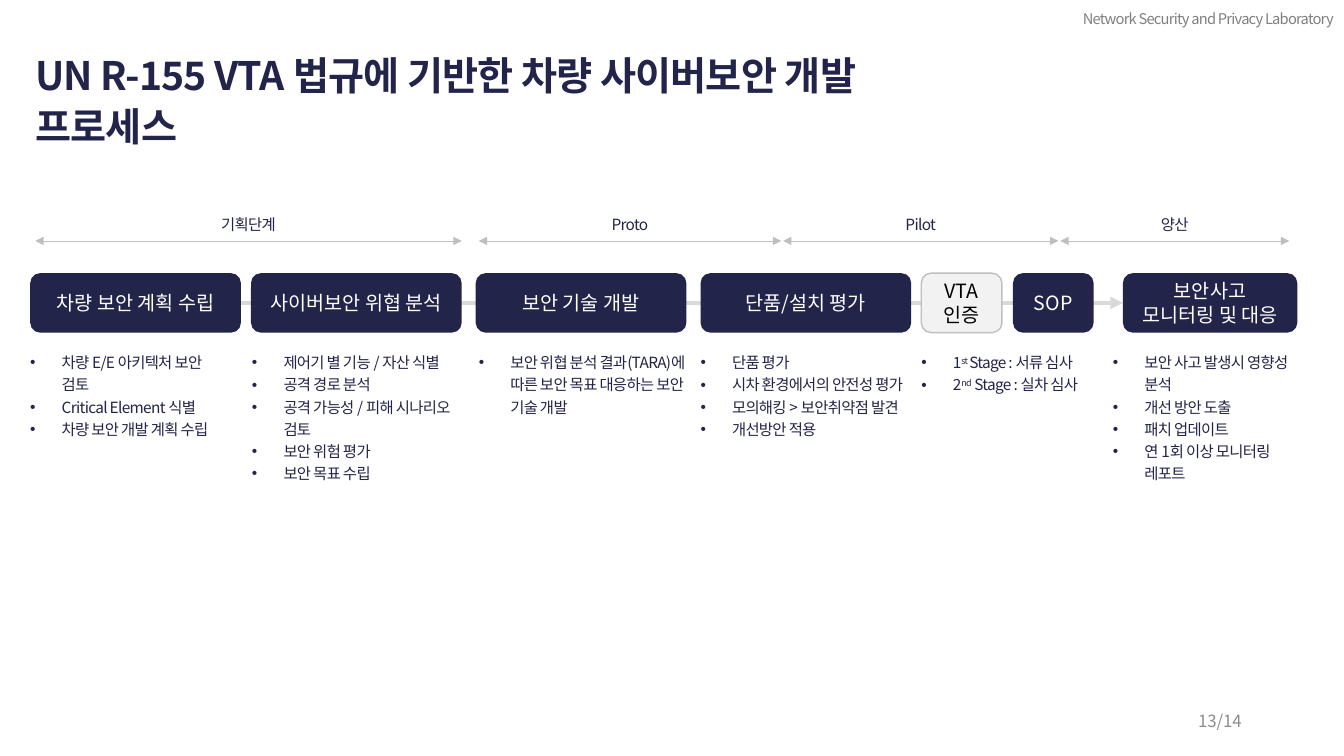
"""Build the vehicle cybersecurity development process slide."""
from dataclasses import dataclass

from lxml.etree import SubElement
from pptx import Presentation
from pptx.dml.color import RGBColor
from pptx.enum.shapes import MSO_CONNECTOR, MSO_SHAPE
from pptx.enum.text import MSO_ANCHOR, MSO_AUTO_SIZE, PP_ALIGN
from pptx.oxml.ns import qn
from pptx.util import Pt


@dataclass(frozen=True)
class Theme:
    """Colours, type sizes and font of the slide."""
    font: str = "Noto Sans CJK KR"
    navy: str = "232449"
    white: str = "FFFFFF"
    black: str = "000000"
    pale: str = "F2F2F2"
    rule: str = "BFBFBF"
    track: str = "D9D9D9"
    header: str = "7F7F7F"
    footer: str = "8C8C8C"
    title_size: float = 28
    step_size: float = 14
    number_size: float = 12
    body_size: float = 11
    header_size: float = 10.5


class Painter:
    """Draw styled elements on the current slide."""

    def __init__(self, page, theme):
        """Keep the slide and its theme."""
        self.page = page
        self.theme = theme

    def set_text(self, frame, lines, size, color, align=PP_ALIGN.LEFT, spacing=None,
                 tracking=None, bold=False, bullet=False, anchor=MSO_ANCHOR.TOP, margin=None):
        """Fill a text frame; a line is a string or a tuple of (text, baseline) pairs."""
        settings = {"word_wrap": True, "auto_size": MSO_AUTO_SIZE.NONE, "vertical_anchor": anchor}
        if margin is not None:
            settings.update({f"margin_{side}": Pt(margin)
                             for side in ("left", "top", "right", "bottom")})
        for name, value in settings.items():
            setattr(frame, name, value)
        for index, line in enumerate(lines):
            para = frame.paragraphs[0] if index == 0 else frame.add_paragraph()
            para.alignment = align
            para.line_spacing = spacing
            if bullet:
                self.add_bullet(para)
            for text, baseline in ((line, 0),) if isinstance(line, str) else line:
                span = para.add_run()
                span.text = text
                span.font.color.rgb = RGBColor.from_string(color)
                style = {"name": self.theme.font, "size": Pt(size), "bold": bold}
                for name, value in style.items():
                    setattr(span.font, name, value)
                properties = span._r.get_or_add_rPr()
                SubElement(properties, qn("a:ea"), typeface=self.theme.font)
                if tracking:
                    properties.set("spc", str(int(tracking * 100)))
                if baseline:
                    properties.set("baseline", str(baseline * 1000))

    def add_bullet(self, para):
        """Give a paragraph a hanging round bullet."""
        properties = para._p.get_or_add_pPr()
        indent = Pt(22.5)
        properties.set("marL", str(indent))
        properties.set("indent", str(-indent))
        SubElement(properties, qn("a:buFont"), typeface="Arial")
        SubElement(properties, qn("a:buChar"), char="•")

    def title(self, text, left, top, width, height):
        """Move, fill and format the title placeholder."""
        shape = self.page.shapes.title
        place = {"left": left, "top": top, "width": width, "height": height}
        for name, value in place.items():
            setattr(shape, name, Pt(value))
        self.set_text(shape.text_frame, [text], self.theme.title_size, self.theme.navy,
                      spacing=1.1, tracking=-0.5, bold=True, margin=0)

    def text(self, lines, left, top, width, height, size, color, **style):
        """Add a text box."""
        box = self.page.shapes.add_textbox(Pt(left), Pt(top), Pt(width), Pt(height))
        self.set_text(box.text_frame, lines, size, color, **style)

    def body(self, lines, left, top, width, height, **style):
        """Add a small navy text box without margins."""
        self.text(lines, left, top, width, height, self.theme.body_size, self.theme.navy,
                  spacing=1.2, tracking=-0.5, margin=0, **style)

    def step(self, lines, left, top, width, height, certified=False):
        """Add a rounded process box."""
        theme = self.theme
        box = self.page.shapes.add_shape(MSO_SHAPE.ROUNDED_RECTANGLE,
                                         Pt(left), Pt(top), Pt(width), Pt(height))
        box.shadow.inherit = False
        box.fill.solid()
        box.fill.fore_color.rgb = RGBColor.from_string(theme.pale if certified else theme.navy)
        if certified:
            box.line.color.rgb = RGBColor.from_string(theme.rule)
            box.line.width = Pt(1)
        else:
            box.line.fill.background()
        self.set_text(box.text_frame, lines, theme.step_size,
                      theme.black if certified else theme.white,
                      align=PP_ALIGN.CENTER, anchor=MSO_ANCHOR.MIDDLE)
        return box

    def arrow(self, start, end, height, color, width, ends=("tailEnd",)):
        """Add a horizontal line with triangle heads."""
        line = self.page.shapes.add_connector(MSO_CONNECTOR.STRAIGHT, Pt(start), Pt(height),
                                              Pt(end), Pt(height))
        line.line.color.rgb = RGBColor.from_string(color)
        line.line.width = Pt(width)
        properties = line._element.spPr
        for end_name in ends:
            SubElement(properties.find(qn("a:ln")), qn(f"a:{end_name}"), type="triangle")
        SubElement(properties, qn("a:effectLst"))
        return line


STEP_TOP, STEP_HEIGHT, STEP_WIDTH, GATE_WIDTH = 195.1, 42.5, 150.5, 57.6
PHASE_TOP, PHASE_LINE = 151.2, 172.1
TASK_TOP = 249.8

STEPS = [
    (["차량 보안 계획 수립"], 21.6, STEP_WIDTH),
    (["사이버보안 위협 분석"], 179.3, STEP_WIDTH),
    (["보안 기술 개발"], 339.8, STEP_WIDTH),
    (["단품/설치 평가"], 500.4, STEP_WIDTH),
    (["VTA", "인증"], 658.1, GATE_WIDTH),
    (["SOP"], 723.6, GATE_WIDTH),
    (["보안사고", "모니터링 및 대응"], 802.1, 124.6),
]
PHASES = [("기획단계", 25.2, 329.8), ("Proto", 342, 558), ("Pilot", 559.4, 756),
          ("양산", 757.4, 920.9)]
TASKS = [
    (21.6, 139.7, ["차량 E/E 아키텍처 보안 검토", "Critical Element 식별", "차량 보안 개발 계획 수립"]),
    (180, 162, ["제어기 별 기능 / 자산 식별", "공격 경로 분석", "공격 가능성 / 피해 시나리오 검토",
                "보안 위험 평가", "보안 목표 수립"]),
    (342, 148.3, ["보안 위협 분석 결과(TARA)에 따른 보안 목표 대응하는 보안 기술 개발"]),
    (500.4, 148.3, ["단품 평가", "시차 환경에서의 안전성 평가", "모의해킹 > 보안취약점 발견",
                    "개선방안 적용"]),
    (658.1, 143.3, [(("1", 0), ("st ", 30), ("Stage : 서류 심사", 0)),
                    (("2", 0), ("nd", 30), (" Stage : 실차 심사", 0))]),
    (794.9, 143.3, ["보안 사고 발생시 영향성 분석", "개선 방안 도출", "패치 업데이트",
                    "연 1회 이상 모니터링 레포트"]),
]


def main():
    """Build and save the slide."""
    deck = Presentation()
    deck.slide_width, deck.slide_height = Pt(960), Pt(540)
    theme = Theme()
    painter = Painter(deck.slides.add_slide(deck.slide_layouts[5]), theme)

    painter.text(["Network Security and Privacy Laboratory"], 720, 3.6, 240, 20.9,
                 theme.header_size, theme.header, align=PP_ALIGN.RIGHT, tracking=-0.5)
    painter.title("UN R-155 VTA 법규에 기반한 차량 사이버보안 개발 프로세스", 25.2, 33.1, 677.5, 34.6)

    track = painter.arrow(123.8, STEPS[-1][1], STEP_TOP + STEP_HEIGHT / 2, theme.track, 3)
    for lines, left, width in STEPS:
        box = painter.step(lines, left, STEP_TOP, width, STEP_HEIGHT, certified="VTA" in lines)
    track.end_connect(box, 1)

    for left, width, tasks in TASKS:
        painter.body(tasks, left, TASK_TOP, width, 15.7 * len(tasks), bullet=True)
    for name, start, end in PHASES:
        painter.arrow(start, end, PHASE_LINE, theme.rule, 0.5, ends=("headEnd", "tailEnd"))
        painter.body([name], start, PHASE_TOP, end - start, 14.4, align=PP_ALIGN.CENTER)

    painter.text(["13/14"], 678.2, 500.4, 216, 28.8, theme.number_size, theme.footer,
                 align=PP_ALIGN.RIGHT, anchor=MSO_ANCHOR.MIDDLE)
    deck.save("out.pptx")


if __name__ == "__main__":
    main()
